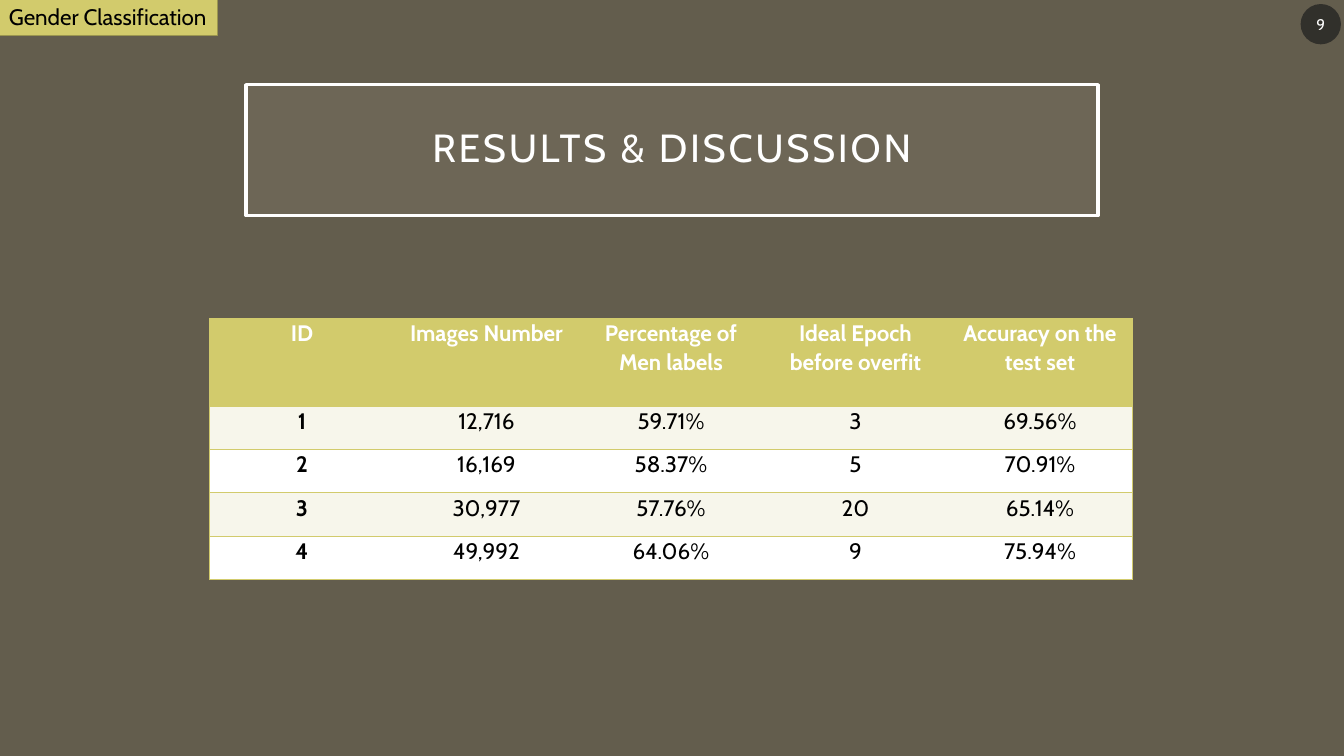
from lxml import etree
from pptx import Presentation
from pptx.dml.color import RGBColor
from pptx.enum.shapes import MSO_SHAPE as SHAPE
from pptx.enum.text import MSO_ANCHOR as ANCHOR, PP_ALIGN as ALIGN
from pptx.oxml.ns import qn
from pptx.util import Inches, Pt

FONT = "Cabin"
OLIVE, WHITE, BLACK = "D2CB6C", "FFFFFF", "000000"
BAND = "F7F6EB"
SLIDE_W, SLIDE_H = 13.33, 7.5
TABLE_LEFT, TABLE_TOP = 2.08, 3.16
COL_W, HEAD_H, ROW_H = 1.83, 0.87, 0.43

RESULTS = [
    ("ID", "Images Number", "Percentage of Men labels",
     "Ideal Epoch before overfit", "Accuracy on the test set"),
    ("1", "12,716", "59.71%", "3", "69.56%"),
    ("2", "16,169", "58.37%", "5", "70.91%"),
    ("3", "30,977", "57.76%", "20", "65.14%"),
    ("4", "49,992", "64.06%", "9", "75.94%"),
]


def rgb(value):
    return RGBColor.from_string(value)


def paint(fill, color, alpha=None):
    """Solid fill; alpha is the opacity in percent."""
    fill.solid()
    fill.fore_color.rgb = rgb(color)
    if alpha is not None:
        clr = fill._xPr.find(".//" + qn("a:srgbClr"))
        etree.SubElement(clr, qn("a:alpha"), val=str(alpha * 1000))


def write(tf, text, size=16, color=BLACK, bold=False, align=ALIGN.CENTER,
          line_spacing=None, tracking=None):
    p = tf.paragraphs[0]
    p.alignment = align
    p.line_spacing = line_spacing
    r = p.add_run()
    r.text = text
    r.font.name, r.font.size, r.font.bold = FONT, Pt(size), bold
    r.font.color.rgb = rgb(color)
    if tracking:
        r.font._element.set("spc", str(tracking * 100))


def add_box(slide, kind, box, fill, alpha=None, line=None, line_w=1,
            margins=(0.1, 0.05)):
    """Flat shape that returns its text frame; margins are (side, top and bottom)."""
    sp = slide.shapes.add_shape(kind, *map(Inches, box))
    sp.shadow.inherit = False
    paint(sp.fill, fill, alpha)
    if line:
        sp.line.color.rgb = rgb(line)
        sp.line.width = Pt(line_w)
    else:
        sp.line.fill.background()
    tf = sp.text_frame
    tf.word_wrap = True
    tf.vertical_anchor = ANCHOR.MIDDLE
    tf.margin_left = tf.margin_right = Inches(margins[0])
    tf.margin_top = tf.margin_bottom = Inches(margins[1])
    return tf


def set_borders(cell, sides):
    """Draw the named sides in olive and clear the others."""
    tc_pr = cell._tc.get_or_add_tcPr()
    for side in "LRTB":
        ln = etree.SubElement(tc_pr, qn("a:ln" + side), w=str(Pt(1)))
        if side in sides:
            fill = etree.SubElement(ln, qn("a:solidFill"))
            etree.SubElement(fill, qn("a:srgbClr"), val=OLIVE)
        else:
            etree.SubElement(ln, qn("a:noFill"))


def add_results_table(slide, rows):
    n_rows, n_cols = len(rows), len(rows[0])
    height = HEAD_H + ROW_H * (n_rows - 1)
    frame = slide.shapes.add_table(
        n_rows, n_cols,
        *map(Inches, (TABLE_LEFT, TABLE_TOP, COL_W * n_cols, height)))
    table = frame.table
    for col in table.columns:
        col.width = Inches(COL_W)
    for i, row in enumerate(rows):
        head = i == 0
        table.rows[i].height = Inches(HEAD_H if head else ROW_H)
        fill = OLIVE if head else BAND if i % 2 else WHITE
        for j, text in enumerate(row):
            cell = table.cell(i, j)
            cell.margin_left = cell.margin_right = Inches(0.07)
            cell.margin_top = cell.margin_bottom = 0
            sides = "TB" + ("L" if j == 0 else "R" if j == n_cols - 1 else "")
            set_borders(cell, sides)
            paint(cell.fill, fill)
            write(cell.text_frame, text, color=WHITE if head else BLACK,
                  bold=head or j == 0, line_spacing=1.07)


def main():
    prs = Presentation()
    prs.slide_width, prs.slide_height = Inches(SLIDE_W), Inches(SLIDE_H)
    slide = prs.slides.add_slide(prs.slide_layouts[6])
    paint(slide.background.fill, "635D4D")

    title = add_box(slide, SHAPE.RECTANGLE, (2.44, 0.84, 8.45, 1.3), "A7A08E",
                    alpha=15, line=WHITE, line_w=2.5, margins=(0.2, 0.2))
    write(title, "RESULTS & DISCUSSION", size=28, color=WHITE,
          line_spacing=0.9, tracking=2)

    add_results_table(slide, RESULTS)

    number = add_box(slide, SHAPE.OVAL, (12.9, 0.04, 0.4, 0.4), "1D1D1D",
                     alpha=70, margins=(0.02, 0.05))
    write(number, "9", size=11, color=WHITE)

    topic = add_box(slide, SHAPE.RECTANGLE, (-0.01, -0.02, 2.17, 0.37), OLIVE,
                    line="9B9650")
    topic.word_wrap = False
    topic.vertical_anchor = ANCHOR.TOP
    write(topic, "Gender Classification", align=ALIGN.LEFT)

    prs.save("out.pptx")


if __name__ == "__main__":
    main()
